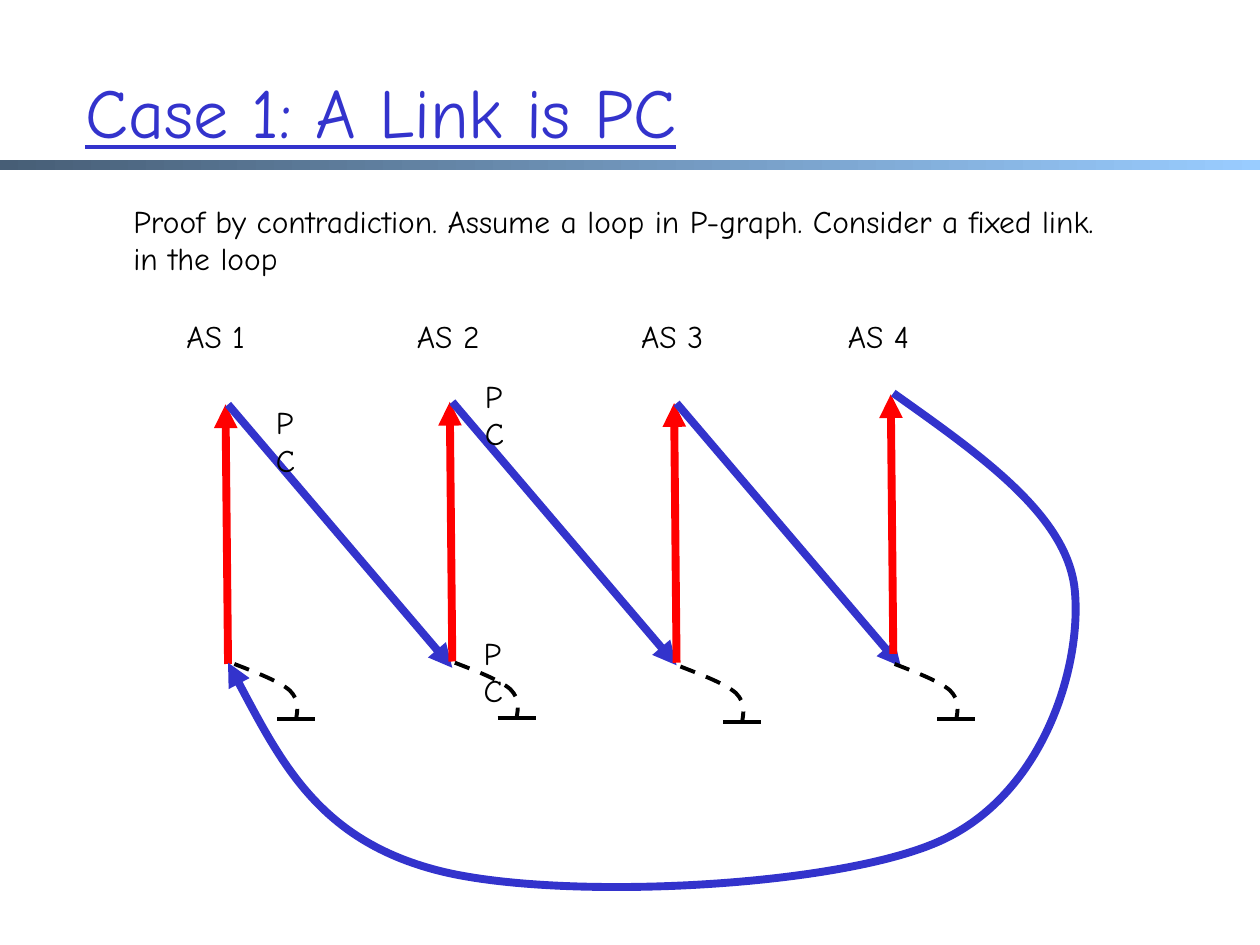
import pptx
import pptx.dml.color
import pptx.enum.dml
import pptx.enum.shapes
import pptx.enum.text
import pptx.oxml
import pptx.oxml.ns
import pptx.util

FONT = "Comic Neue"
BLUE, RED, BLACK = "3333CC", "FF0000", "000000"
COLS, ROWS = 100, 75
CELL = pptx.util.Inches(0.1)
NODES = [(18.1, 52.7), (35.9, 52.5), (53.7, 52.6), (70.9, 51.9)]
NAMES = [(13.8, 7.5), (32.1, 7.9), (49.9, 7.9), (66.3, 7.9)]
HOOKS = [(36.1, 52.6), (54, 52.9), (71, 52.7), (18.6, 52.7)]
HOOK = [(0, 0), (1.8, 0.7), (3.6, 1.4), (4.4, 2.1),
        (5.2, 2.9), (5, 3.7), (4.9, 4.4)]
LOOP = [(70.9, 31.2), (77.8, 36.1), (84.7, 40.9), (85.3, 46.8),
        (85.9, 52.7), (82.9, 63.1), (74.5, 66.8),
        (66.1, 70.5), (44.2, 71.5), (34.8, 69.1),
        (25.4, 66.7), (21.8, 59.6), (18.1, 52.6)]
MARKS = [(20.9, 31.5), (37.4, 49.8), (37.5, 29.4)]


def grid(*cells):
    return [round(c * CELL) for c in cells]


def hue(code):
    return pptx.dml.color.RGBColor.from_string(code)


def node(tag):
    return pptx.oxml.parse_xml(f"<a:{tag} {pptx.oxml.ns.nsdecls('a')}/>")


def stroke(shape, color, width, arrow=False):
    shape.line.color.rgb = hue(color)
    shape.line.width = pptx.util.Pt(width)
    if arrow:
        tip = node("tailEnd")
        tip.set("type", "triangle")
        shape.element.spPr.find(pptx.oxml.ns.qn("a:ln")).append(tip)


def line(shapes, start, end, color, width, arrow=False):
    link = shapes.add_connector(
        pptx.enum.shapes.MSO_CONNECTOR.STRAIGHT, *grid(*start, *end))
    stroke(link, color, width, arrow)
    link.element.spPr.append(node("effectLst"))


def curve(shapes, points, color, width, arrow=False, dash=False):
    first, *rest = [grid(*p) for p in points]
    pen = shapes.build_freeform(*first)
    pen.add_line_segments(rest, close=False)
    shape = pen.convert_to_shape()
    steps = list(shape.element.iter(pptx.oxml.ns.qn("a:lnTo")))
    for i in range(0, len(steps), 3):
        bend = node("cubicBezTo")
        steps[i].addprevious(bend)
        for step in steps[i:i + 3]:
            bend.append(step[0])
            step.getparent().remove(step)
    shape.fill.background()
    shape.shadow.inherit = False
    if dash:
        shape.line.dash_style = pptx.enum.dml.MSO_LINE.DASH
    stroke(shape, color, width, arrow)


def hook(shapes, x, y):
    group = shapes.add_group_shape().shapes
    curve(group, [(x + dx, y + dy) for dx, dy in HOOK], BLACK, 2.25, dash=True)
    line(group, (x + 3.4, y + 4.4), (x + 6.4, y + 4.4), BLACK, 2.25)


def label(shapes, box, lines, size=18, color=BLACK, title=False):
    frame = shapes.add_textbox(*grid(*box)).text_frame
    frame.word_wrap = True
    if title:
        frame.vertical_anchor = pptx.enum.text.MSO_ANCHOR.MIDDLE
    para = frame.paragraphs[0]
    for i, words in enumerate(lines):
        if i:
            para.add_line_break()
        run = para.add_run()
        run.text = words
        run.font.name = FONT
        run.font.size = pptx.util.Pt(size)
        run.font.color.rgb = hue(color)
        if title:
            run.font.underline = True


def band(shapes):
    bar = shapes.add_shape(
        pptx.enum.shapes.MSO_SHAPE.RECTANGLE, *grid(0, 12.7, COLS, 0.8))
    bar.shadow.inherit = False
    bar.line.fill.background()
    bar.fill.gradient()
    bar.fill.gradient_angle = 0
    for stop, code in zip(bar.fill.gradient_stops, ("475E76", "99CCFF")):
        stop.color.rgb = hue(code)


def main():
    deck = pptx.Presentation()
    deck.slide_width, deck.slide_height = grid(COLS, ROWS)
    shapes = deck.slides.add_slide(deck.slide_layouts[6]).shapes
    band(shapes)
    label(shapes, (5.8, 2.5, 87.8, 12.5), ["Case 1: A Link is PC"],
          40, BLUE, title=True)
    for i, (x, y) in enumerate(NODES):
        top = y - 20.6
        line(shapes, (x, y), (x - 0.2, top), RED, 4.5, True)
        if i < len(NODES) - 1:
            line(shapes, (x, top), (x + 17.8, top + 20.9), BLUE, 4.5, True)
    curve(shapes, LOOP, BLUE, 4.5, arrow=True)
    for x, y in HOOKS:
        hook(shapes, x, y)
    label(shapes, (9.6, 15.5, 85, 7.1),
          ["Proof by contradiction. Assume a loop in P-graph. "
           "Consider a fixed link.", "in the loop"])
    for x, y in MARKS:
        label(shapes, (x, y, 4.8, 4), ["PC"])
    for i, (x, width) in enumerate(NAMES, 1):
        label(shapes, (x, 24.7, width, 4), [f"AS {i}"])
    deck.save("out.pptx")


if __name__ == "__main__":
    main()
